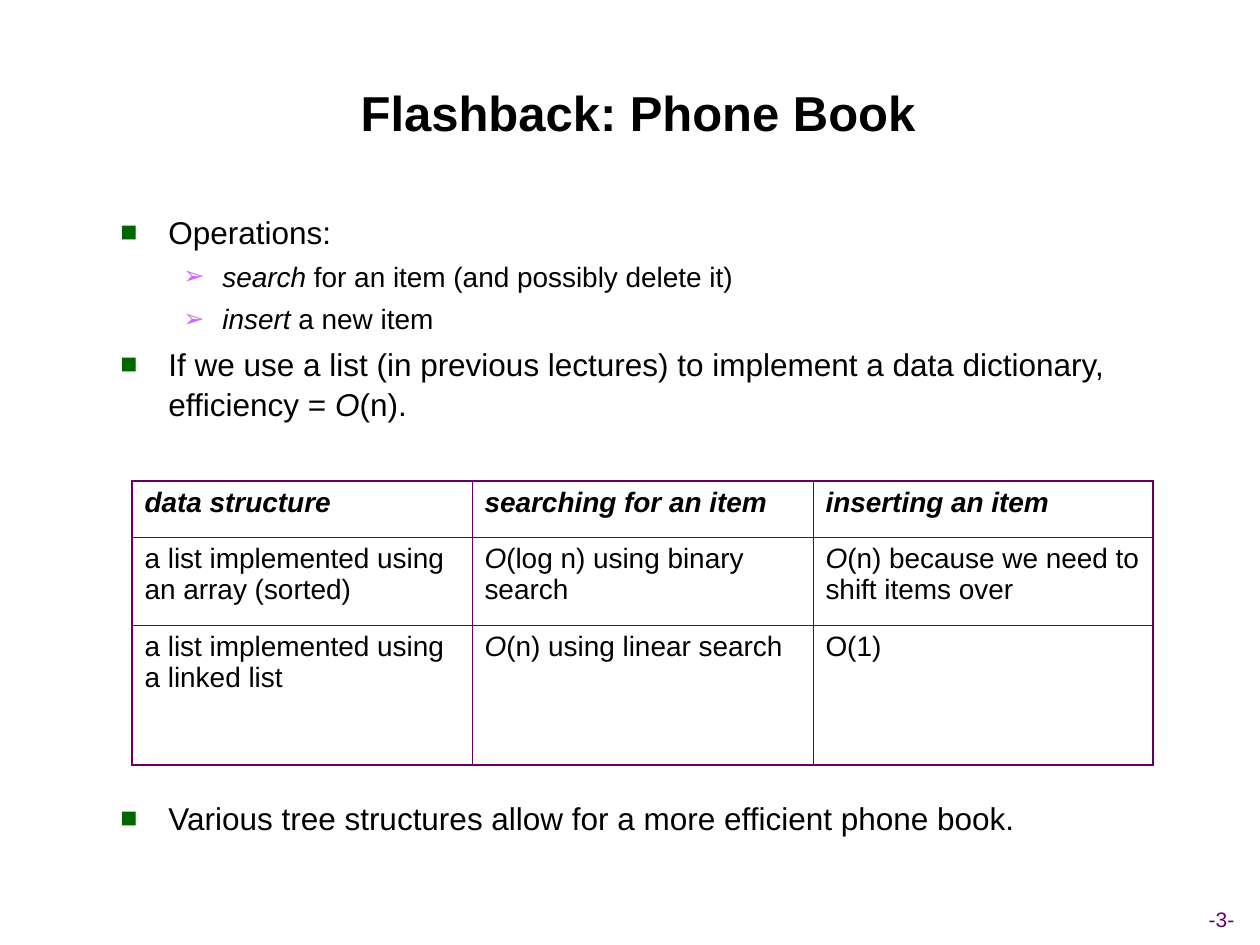
from lxml.etree import SubElement as Sub
from pptx import Presentation as Deck
from pptx.dml.color import RGBColor as RGB
from pptx.enum.text import MSO_ANCHOR as Anchor, PP_ALIGN as Align
from pptx.oxml import parse_xml
from pptx.oxml.ns import nsdecls, qn
from pptx.util import Emu, Pt

BLACK = RGB(0x00, 0x00, 0x00)
GREEN = RGB(0x00, 0x66, 0x00)
VIOLET = RGB(0xCC, 0x66, 0xFF)
PURPLE = RGB(0x66, 0x00, 0x66)
FONT = "Arial"
SCALE = 914400 / 126

MARKS = [("■", GREEN, 48, 48, 18, 4.5), ("➢", VIOLET, 102, 39, 16, 4)]
POINTS = [
    (0, "Operations:", None),
    (1, "*search *for an item (and possibly delete it)", None),
    (1, "*insert *a new item", None),
    (0, "If we use a list (in previous lectures) to implement a data "
        "dictionary, efficiency = *O*(n).", None),
    (0, "Various tree structures allow for a more efficient phone book.", 214),
]
COLS = [340, 341, 340]
ROWS = [56, 88, 140]
CELLS = [
    ["*data structure*", "*searching for an item*", "*inserting an item*"],
    ["a list implemented using an array (sorted)",
     "*O*(log n) using binary search",
     "*O*(n) because we need to shift items over"],
    ["a list implemented using a linked list",
     "*O*(n) using linear search", "O(1)"],
]


def px(num):
    return Emu(round(num * SCALE))


class Page:
    """Holds the style and the current slide."""

    def __init__(self, deck):
        self.slide = deck.slides.add_slide(deck.slide_layouts[5])

    def fill(self, para, text, size, color=BLACK, bold=False):
        for i, part in enumerate(text.split("*")):
            if part:
                run = para.add_run()
                run.text = part
                if i % 2:
                    run.font.italic = True
        font = para.font
        font.name, font.size, font.bold = FONT, Pt(size), bold
        font.color.rgb = color

    def title(self, text, *box):
        shape = self.slide.shapes.title
        shape.left, shape.top, shape.width, shape.height = map(px, box)
        frame = shape.text_frame
        frame.vertical_anchor = Anchor.MIDDLE
        para = frame.paragraphs[0]
        para.alignment = Align.CENTER
        self.fill(para, text, 28, bold=True)

    def text(self, *box):
        shape = self.slide.shapes.add_textbox(*map(px, box))
        return shape.text_frame

    def points(self, items, *box):
        frame = self.text(*box)
        frame.word_wrap = True
        for i, (level, text, gap) in enumerate(items):
            para = frame.add_paragraph() if i else frame.paragraphs[0]
            mark, color, left, hang, size, space = MARKS[level]
            para.level = level
            para.line_spacing = 1.05
            para.space_before = Pt(gap or space)
            self.bullet(para, mark, color, left, hang)
            self.fill(para, text, size)

    def bullet(self, para, mark, color, left, hang):
        prop = para._p.get_or_add_pPr()
        prop.set("marL", str(px(left)))
        prop.set("indent", str(px(-hang)))
        Sub(Sub(prop, qn("a:buClr")), qn("a:srgbClr"), val=str(color))
        Sub(prop, qn("a:buSzPct"), val="90000")
        Sub(prop, qn("a:buFont"), typeface=FONT)
        Sub(prop, qn("a:buChar"), char=mark)

    def table(self, cells, left, top):
        box = map(px, (left, top, sum(COLS), sum(ROWS)))
        grid = self.slide.shapes.add_table(len(ROWS), len(COLS), *box).table
        grid.first_row = grid.horz_banding = False
        for col, width in zip(grid.columns, COLS):
            col.width = px(width)
        for row, height in zip(grid.rows, ROWS):
            row.height = px(height)
        for r, texts in enumerate(cells):
            for c, text in enumerate(texts):
                cell = grid.cell(r, c)
                cell.fill.background()
                para = cell.text_frame.paragraphs[0]
                para.space_before = Pt(4)
                self.fill(para, text, 16, bold=r == 0)
                self.edges(cell, L=c == 0, R=c == len(COLS) - 1,
                           T=r == 0, B=r == len(ROWS) - 1)

    def edges(self, cell, **sides):
        prop = cell._tc.get_or_add_tcPr()
        for i, (side, outer) in enumerate(sides.items()):
            width = Pt(1.08 if outer else 0.45)
            prop.insert(i, parse_xml(
                f'<a:ln{side} {nsdecls("a")} w="{width}"><a:solidFill>'
                f'<a:srgbClr val="{PURPLE}"/></a:solidFill></a:ln{side}>'))

    def number(self, text, *box):
        frame = self.text(*box)
        frame.word_wrap = False
        frame.vertical_anchor = Anchor.MIDDLE
        para = frame.paragraphs[0]
        para.alignment = Align.CENTER
        self.fill(para, text, 12, PURPLE)


def main():
    deck = Deck()
    deck.slide_width, deck.slide_height = px(1260), px(945)
    page = Page(deck)
    page.number("-3-", 1154, 900, 135, 38)
    page.title("Flashback: Phone Book", 54, 52, 1168, 120)
    page.points(POINTS, 108, 205, 1062, 689)
    page.table(CELLS, 132, 481)
    deck.save("out.pptx")


if __name__ == "__main__":
    main()
